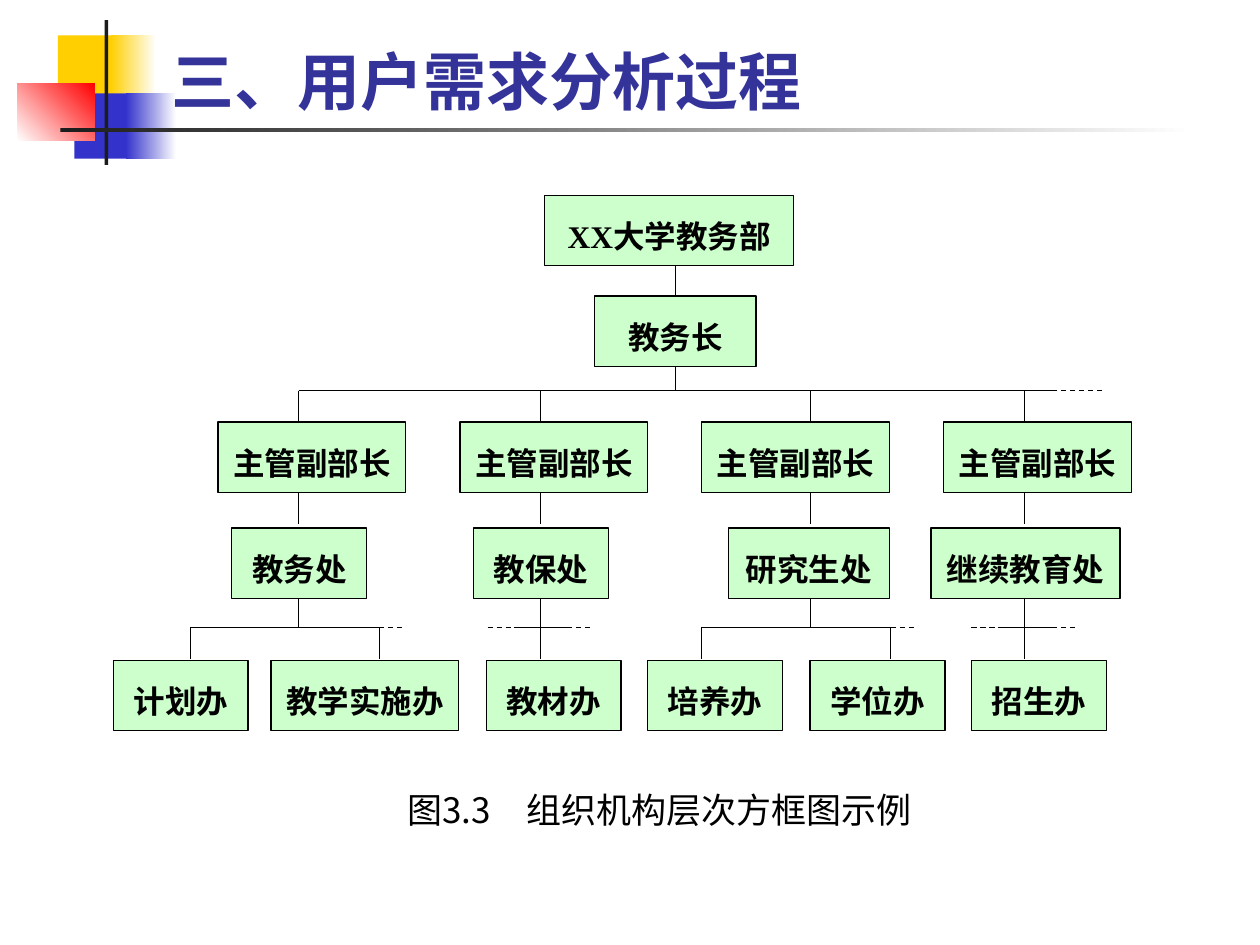
"""Build a slide with the organisation chart of a university academic affairs department."""
from lxml.etree import SubElement
from pptx import Presentation
from pptx.dml.color import RGBColor
from pptx.enum.dml import MSO_LINE
from pptx.enum.shapes import MSO_CONNECTOR, MSO_SHAPE
from pptx.enum.text import MSO_ANCHOR, PP_ALIGN
from pptx.oxml.ns import qn
from pptx.util import Inches, Pt


def color(value):
    return RGBColor.from_string(value)


def write(shape, text, size, font_name, font_color, bold, align, anchor):
    frame = shape.text_frame
    frame.vertical_anchor = anchor
    paragraph = frame.paragraphs[0]
    paragraph.text = text
    paragraph.alignment = align
    paragraph.font.size = Pt(size)
    paragraph.font.name = font_name
    paragraph.font.bold = bold
    paragraph.font.color.rgb = color(font_color)
    return paragraph


presentation = Presentation()
presentation.slide_width = Inches(10)
presentation.slide_height = Inches(7.5)
slide = presentation.slides.add_slide(presentation.slide_layouts[6])
shapes = slide.shapes

decorations = [
    (0.46, 0.28, 0.48, 0.52, ["FFCF01"], 0),
    (0.88, 0.28, 0.36, 0.52, ["FFCF01", "FFFFFF"], 0),
    (0.59, 0.74, 0.46, 0.52, ["3333CC"], 0),
    (1, 0.74, 0.4, 0.52, ["3333CC", "FFFFFF"], 0),
    (0.14, 0.66, 0.61, 0.46, ["FFFFFF", "FF0000"], 45),
    (0.83, 0.16, 0.03, 1.15, ["1C1C1C"], 0),
    (0.48, 1.02, 9, 0.03, ["1C1C1C", "FFFFFF"], 0),
]
for left, top, width, height, colors, angle in decorations:
    shape = shapes.add_shape(
        MSO_SHAPE.RECTANGLE, Inches(left), Inches(top), Inches(width), Inches(height)
    )
    shape.shadow.inherit = False
    shape.line.fill.background()
    if len(colors) == 1:
        shape.fill.solid()
        shape.fill.fore_color.rgb = color(colors[0])
    else:
        shape.fill.gradient()
        shape.fill.gradient_angle = angle
        for stop, value, position in zip(shape.fill.gradient_stops, colors, (0, 1)):
            stop.color.rgb = color(value)
            stop.position = position

trunk = 5.36
branches = [2.37, 4.29, 6.43, 8.13]
offices = [1.51, 3.01, 4.29, 5.57, 7.07, 8.13]
deputy_bar, office_bar = 3.1, 4.98

verticals = [(trunk, 2.1, 2.35), (trunk, 2.91, deputy_bar)]
for x in branches:
    verticals += [(x, deputy_bar, 3.35), (x, 3.91, 4.16), (x, 4.75, office_bar)]
verticals += [(x, office_bar, 5.23) for x in offices]

solid_bars = [
    (2.37, 8.35, deputy_bar),
    (1.51, 3.01, office_bar),
    (4.08, 4.5, office_bar),
    (5.57, 7.07, office_bar),
    (7.92, 8.35, office_bar),
]
dashed_bars = [(8.35, 8.77, deputy_bar)] + [
    (x, x + 0.21, office_bar) for x in (3.01, 3.87, 4.5, 7.07, 7.71, 8.35)
]

links = [(x, top, x, bottom, False) for x, top, bottom in verticals]
links += [(start, y, end, y, False) for start, end, y in solid_bars]
links += [(start, y, end, y, True) for start, end, y in dashed_bars]
for x1, y1, x2, y2, dashed in links:
    connector = shapes.add_connector(
        MSO_CONNECTOR.STRAIGHT, Inches(x1), Inches(y1), Inches(x2), Inches(y2)
    )
    connector.line.color.rgb = color("000000")
    connector.line.width = Pt(0.75)
    if dashed:
        connector.line.dash_style = MSO_LINE.DASH
    SubElement(connector.element.spPr, qn("a:effectLst"))

rows = [
    (1.55, [("XX大学教务部", 4.32, 1.98)]),
    (2.35, [("教务长", 4.72, 1.28)]),
    (3.35, [("主管副部长", 1.73 + 1.92 * column, 1.49) for column in range(4)]),
    (4.19, [
        ("教务处", 1.84, 1.07),
        ("教保处", 3.76, 1.07),
        ("研究生处", 5.78, 1.28),
        ("继续教育处", 7.39, 1.5),
    ]),
    (5.24, [
        ("计划办", 0.9, 1.07),
        ("教学实施办", 2.15, 1.49),
        ("教材办", 3.86, 1.07),
        ("培养办", 5.14, 1.07),
        ("学位办", 6.43, 1.07),
        ("招生办", 7.71, 1.07),
    ]),
]
for top, units in rows:
    for name, left, width in units:
        box = shapes.add_shape(
            MSO_SHAPE.RECTANGLE, Inches(left), Inches(top), Inches(width), Inches(0.56)
        )
        box.shadow.inherit = False
        box.fill.solid()
        box.fill.fore_color.rgb = color("CCFFCC")
        box.line.color.rgb = color("000000")
        box.line.width = Pt(0.75)
        paragraph = write(box, name, 18, "Times New Roman", "000000", True,
                          PP_ALIGN.CENTER, MSO_ANCHOR.MIDDLE)
        paragraph.line_spacing = 1.3

caption = shapes.add_textbox(Inches(2.82), Inches(6.21), Inches(4.83), Inches(0.43))
caption.text_frame.word_wrap = True
write(caption, "图3.3　组织机构层次方框图示例", 20, "Noto Sans CJK SC", "000000", False,
      PP_ALIGN.CENTER, MSO_ANCHOR.TOP)

title = shapes.add_textbox(Inches(1.26), Inches(0.08), Inches(8.52), Inches(0.91))
title.text_frame.word_wrap = True
write(title, "三、用户需求分析过程", 36, "Karla", "333399", True,
      PP_ALIGN.LEFT, MSO_ANCHOR.BOTTOM)

presentation.save("out.pptx")
